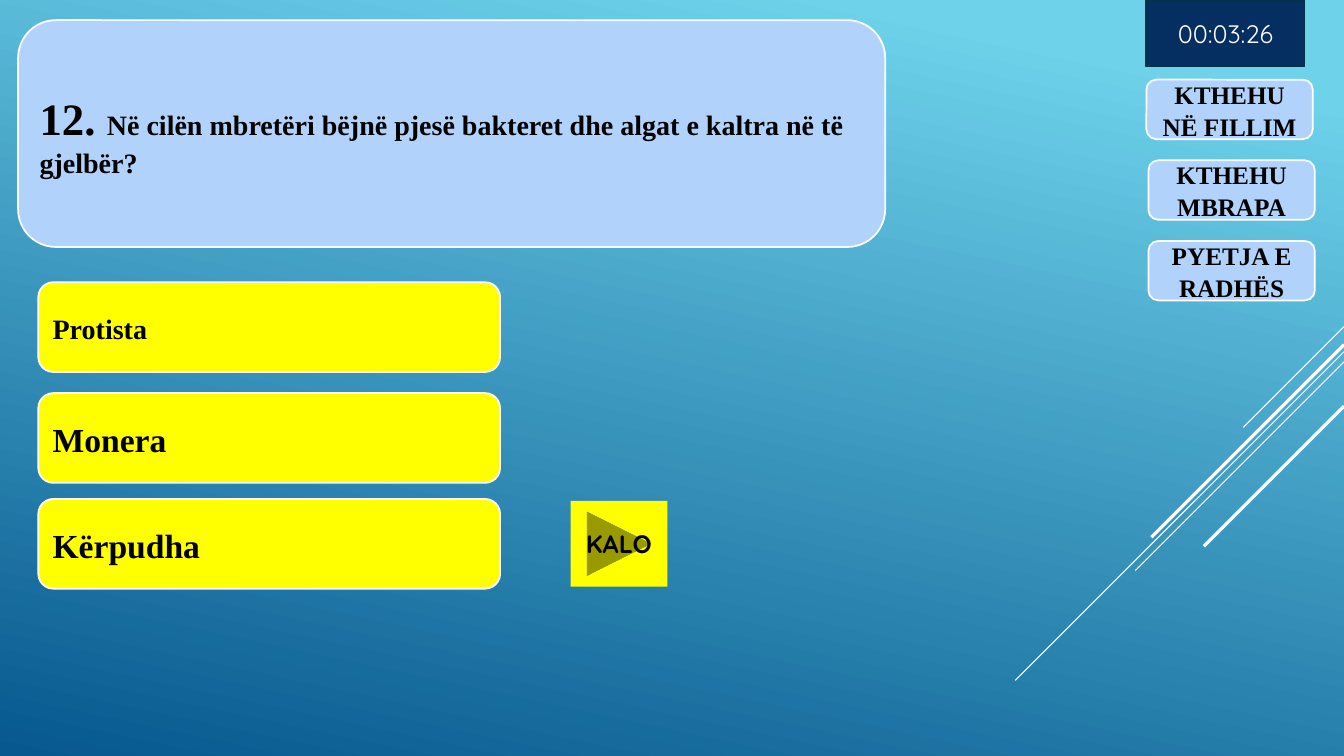
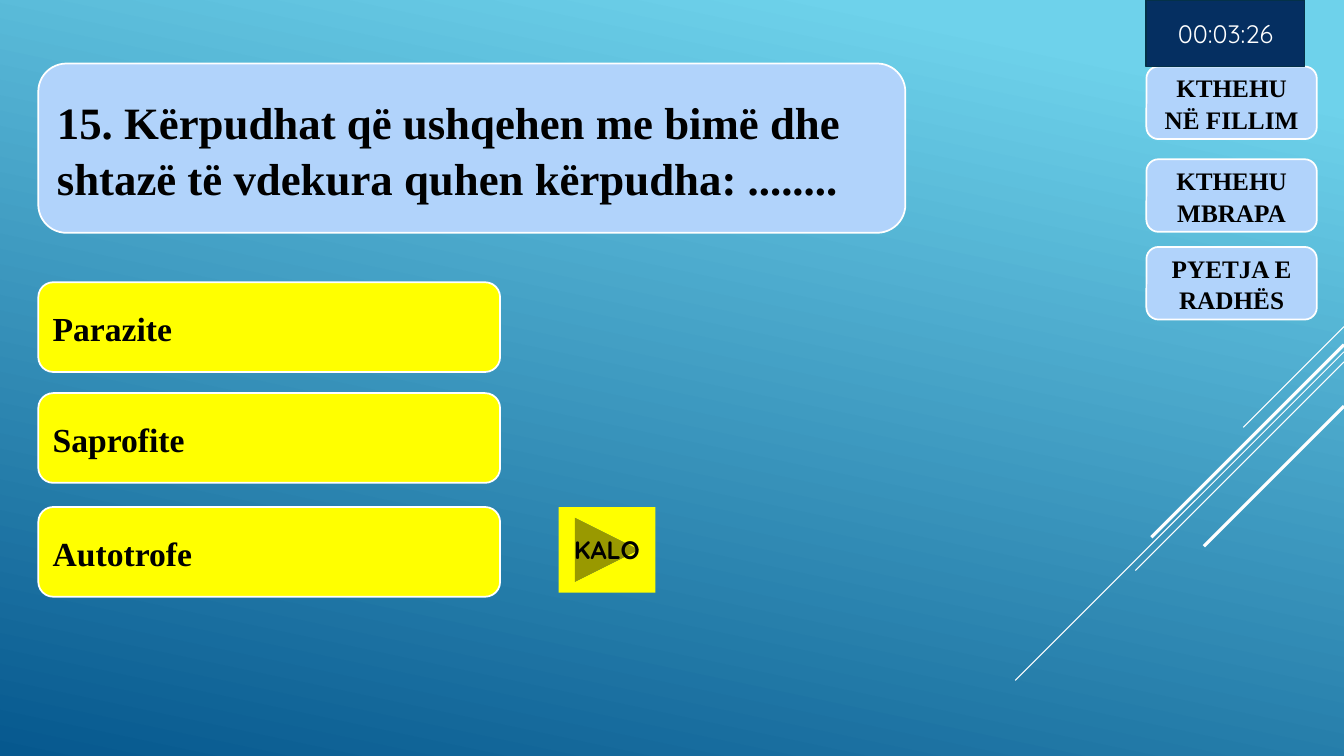
from dataclasses import dataclass
from typing import NamedTuple

from lxml.etree import SubElement
from pptx import Presentation
from pptx.dml.color import RGBColor as Rgb
from pptx.enum.shapes import MSO_CONNECTOR as Connector, MSO_SHAPE as Shape
from pptx.enum.text import MSO_ANCHOR as Anchor, MSO_AUTO_SIZE as AutoSize, PP_ALIGN as Align
from pptx.oxml.ns import qn
from pptx.util import Inches, Pt


@dataclass(frozen=True)
class Theme:
    sky: Rgb = Rgb.from_string("6ED2EB")
    deep: Rgb = Rgb.from_string("06588E")
    card: Rgb = Rgb.from_string("B1D3FB")
    answer: Rgb = Rgb.from_string("FFFF00")
    timer: Rgb = Rgb.from_string("052F61")
    timer_edge: Rgb = Rgb.from_string("043148")
    white: Rgb = Rgb.from_string("FFFFFF")
    ink: Rgb = Rgb.from_string("000000")
    serif: str = "Times New Roman"
    sans: str = "Quicksand"
    big: int = 32
    medium: int = 24
    small: int = 20
    label: int = 18
    edge: float = 1.25
    spacing: float = 1.05


class Box(NamedTuple):
    left: float
    top: float
    width: float
    height: float


THEME = Theme()
PAGE = Box(0, 0, 13.33, 7.5)
TITLE_ONLY = 5
NAV_LABELS = ("KTHEHU NË FILLIM", "KTHEHU MBRAPA", "PYETJA E RADHËS")
# Diagonal rays from the right edge: start height, run down and left, weight
RAYS = ((3.24, 1, 0.75), (3.49, 3.26, 0.75), (3.59, 2.07, 0.75),
        (3.42, 1.91, 2.25), (4.03, 1.39, 2.25))


def place(shape, box):
    shape.left, shape.top, shape.width, shape.height = map(Inches, box)


def write(frame, runs, align=Align.LEFT, font=THEME.serif, color=THEME.ink, bold=True):
    """Fill a frame with one paragraph of (text, size) runs."""
    frame.word_wrap = True
    frame.vertical_anchor = Anchor.MIDDLE
    para = frame.paragraphs[0]
    para.alignment = align
    if font == THEME.serif:
        para.line_spacing = THEME.spacing
    for text, size in runs:
        span = para.add_run()
        span.text = text
        span.font.name, span.font.size, span.font.bold = font, Pt(size), bold
        span.font.color.rgb = color


def add_block(page, kind, box, fill, edge=None):
    block = page.shapes.add_shape(kind, *map(Inches, box))
    block.shadow.inherit = False
    block.fill.solid()
    block.fill.fore_color.rgb = fill
    if edge is None:
        block.line.fill.background()
    else:
        block.line.color.rgb = edge
        block.line.width = Pt(THEME.edge)
    return block


def style_master(deck):
    fill = deck.slide_master.background.fill
    fill.gradient()
    fill.gradient_angle = 258
    for stop, color, position in zip(fill.gradient_stops, (THEME.sky, THEME.deep), (0.1, 1)):
        stop.color.rgb = color
        stop.position = position


def add_rays(deck, page):
    """Draw the rays once and hand them to the slide master."""
    for number, (top, run, weight) in enumerate(RAYS, start=101):
        ray = page.shapes.add_connector(
            Connector.STRAIGHT, Inches(PAGE.width), Inches(top),
            Inches(PAGE.width - run), Inches(top + run))
        ray.line.color.rgb = THEME.white
        ray.line.width = Pt(weight)
        SubElement(ray.element.spPr, qn("a:effectLst"))
        ray.element.xpath("./p:nvCxnSpPr/p:cNvPr")[0].set("id", str(number))
        deck.slide_master.shapes.element.append(ray.element)


def add_question(page, box, runs):
    add_block(page, Shape.ROUNDED_RECTANGLE, box, THEME.card, THEME.white)
    title = page.shapes.title
    place(title, box)
    page.shapes.element.append(title.element)  # bring in front of the card
    frame = title.text_frame
    frame.auto_size = AutoSize.NONE
    # Keep the text clear of the rounded corners
    frame.margin_left = frame.margin_right = Inches(0.1 + 0.05 * min(box.width, box.height))
    write(frame, runs)


def add_answers(page, left, tops, answers):
    for top, answer in zip(tops, answers):
        block = add_block(page, Shape.ROUNDED_RECTANGLE, Box(left, top, 4.58, 0.89),
                          THEME.answer, THEME.white)
        write(block.text_frame, [answer])


def add_navigation(page, boxes):
    for box, label in zip(boxes, NAV_LABELS):
        button = add_block(page, Shape.ROUNDED_RECTANGLE, box, THEME.card, THEME.white)
        write(button.text_frame, [(label, THEME.label)], Align.CENTER)


def add_skip(page, left, top):
    button = add_block(page, Shape.ACTION_BUTTON_FORWARD_OR_NEXT,
                       Box(left, top, 0.96, 0.85), THEME.answer)
    write(button.text_frame, [("KALO", THEME.label)], Align.CENTER, THEME.sans)


def add_timer(page, box):
    timer = add_block(page, Shape.RECTANGLE, box, THEME.timer, THEME.timer_edge)
    write(timer.text_frame, [("00:03:26", THEME.label)], Align.CENTER,
          THEME.sans, THEME.white, bold=False)


def add_quiz_page(deck, question_box, question, answer_tops, answers, nav_boxes, skip):
    page = deck.slides.add_slide(deck.slide_layouts[TITLE_ONLY])
    add_question(page, question_box, question)
    add_answers(page, 0.38, answer_tops, answers)
    add_navigation(page, nav_boxes)
    add_skip(page, *skip)
    add_timer(page, Box(11.37, 0, 1.57, 0.66))
    return page


def main():
    deck = Presentation()
    deck.slide_width, deck.slide_height = Inches(PAGE.width), Inches(PAGE.height)
    style_master(deck)

    # Question 12
    first = add_quiz_page(
        deck, Box(0.18, 0.2, 8.6, 2.25),
        [("12. ", THEME.big),
         ("Në cilën mbretëri bëjnë pjesë bakteret dhe algat e kaltra në të gjelbër?",
          THEME.small)],
        (2.8, 3.9, 4.95),
        [("Protista", THEME.small), ("Monera", THEME.medium), ("Kërpudha", THEME.medium)],
        [Box(left, 0.79 + 0.8 * row, 1.65, 0.59)
         for row, left in enumerate((11.37, 11.39, 11.39))],
        (5.66, 4.97))
    add_rays(deck, first)

    # Question 15
    add_quiz_page(
        deck, Box(0.38, 0.63, 8.6, 1.68),
        [("15. Kërpudhat që ushqehen me bimë dhe shtazë të vdekura quhen kërpudha: ........",
          THEME.big)],
        (2.8, 3.9, 5.03),
        [(name, THEME.medium) for name in ("Parazite", "Saprofite", "Autotrofe")],
        [Box(11.37, top, 1.69, 0.72) for top in (0.66, 1.58, 2.45)],
        (5.54, 5.03))

    deck.save("out.pptx")


if __name__ == "__main__":
    main()
